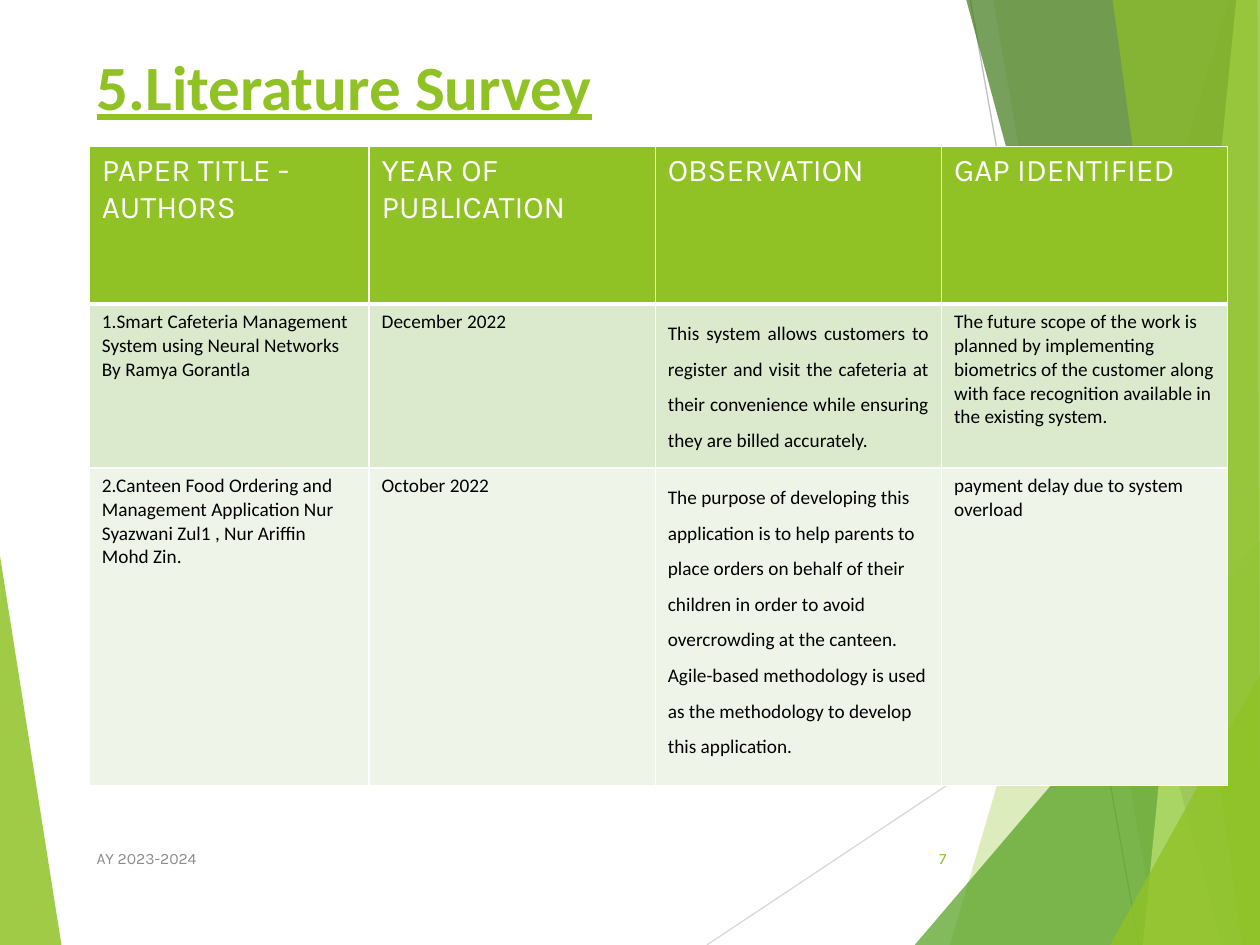
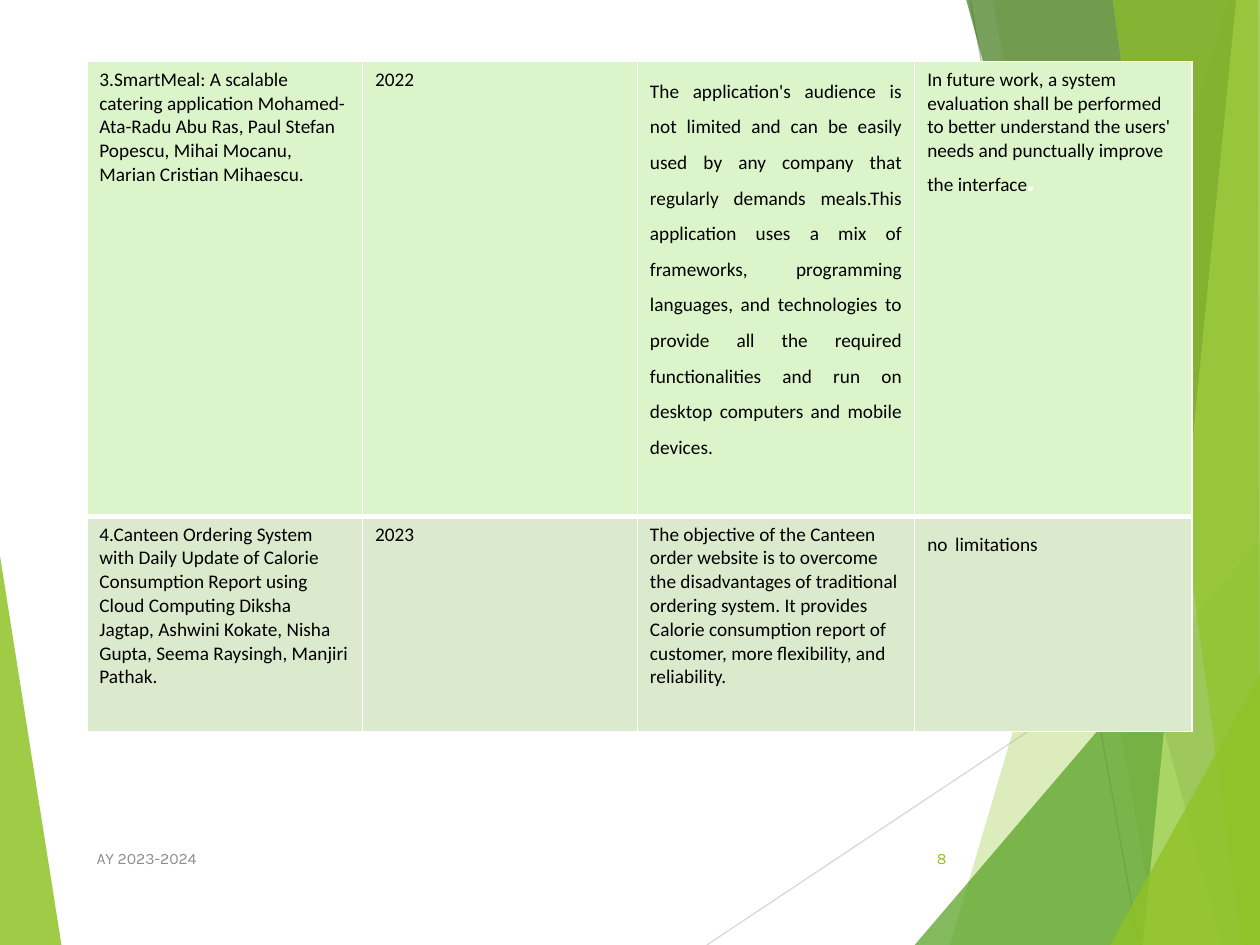
from dataclasses import dataclass

import pptx
import pptx.dml.color
import pptx.enum.shapes
import pptx.enum.text
import pptx.oxml.ns
import pptx.oxml.xmlchemy
import pptx.slide
import pptx.table
import pptx.text.text
import pptx.util
from pptx.util import Cm

ALIGN = pptx.enum.text.PP_ALIGN
ANCHOR = pptx.enum.text.MSO_ANCHOR
WIDTH, HEIGHT = 25.4, 19.05  # slide size in cm


@dataclass(frozen=True)
class TextStyle:
    font: str
    size: int
    color: str
    bold: bool = False
    underline: bool = False


@dataclass(frozen=True)
class Theme:
    lime: str = "90C226"
    green: str = "54A021"
    forest: str = "3F7819"
    pale_lime: str = "C0E474"
    white: str = "FFFFFF"
    sage: str = "DBE9CD"
    mist: str = "EEF4E8"
    mint: str = "DBF4CA"
    title: TextStyle = TextStyle("Calibri", 36, "90C226", bold=True, underline=True)
    header: TextStyle = TextStyle("Karla", 18, "FFFFFF")
    body: TextStyle = TextStyle("Calibri", 11, "000000")
    wide_space: TextStyle = TextStyle("Karla", 18, "000000")
    white_stop: TextStyle = TextStyle("Karla", 18, "FFFFFF", bold=True)
    footer: TextStyle = TextStyle("Karla", 9, "8C8C8C")
    page: TextStyle = TextStyle("Karla", 9, "90C226")
    rule: float = 1
    heavy_rule: float = 3


THEME = Theme()


@dataclass(frozen=True)
class Shard:
    """A translucent polygon; points in cm."""
    points: tuple[tuple[float, float], ...]
    color: str
    opacity: int


@dataclass(frozen=True)
class Ray:
    start: tuple[float, float]
    end: tuple[float, float]
    color: str


@dataclass(frozen=True)
class Run:
    text: str
    style: TextStyle | None = None


@dataclass(frozen=True)
class Entry:
    """Text of one table cell; airy text has open line spacing."""
    runs: tuple[Run, ...]
    airy: bool = False
    justified: bool = False


@dataclass(frozen=True)
class Row:
    height: float
    fill: str
    entries: tuple[Entry, ...]
    style: TextStyle = THEME.body


@dataclass(frozen=True)
class Survey:
    left: float
    top: float
    columns: tuple[float, ...]
    rows: tuple[Row, ...]
    has_header: bool = False


def entry(text: str, airy: bool = False, justified: bool = False) -> Entry:
    return Entry((Run(text),), airy, justified)


RIGHT_TOP, RIGHT_BOTTOM = (WIDTH, 0), (WIDTH, HEIGHT)
RAYS = (
    Ray((14.25, HEIGHT), (WIDTH, 11.63), "D9D9D9"),
    Ray((19.56, 0), (22.96, HEIGHT), "BFBFBF"),
)
LEFT_SHARD = Shard(((0, 11.2), (1.24, HEIGHT), (0, HEIGHT)), THEME.lime, 85)
RIGHT_SHARDS = (
    Shard(((24.77, 0), (19.15, HEIGHT), RIGHT_BOTTOM, RIGHT_TOP), THEME.lime, 30),
    Shard(((20.02, 0), (23.34, HEIGHT), RIGHT_BOTTOM, RIGHT_TOP), THEME.lime, 20),
    Shard(((18.44, HEIGHT), (WIDTH, 10.9), RIGHT_BOTTOM), THEME.green, 72),
    Shard(((19.48, 0), (24.64, HEIGHT), RIGHT_BOTTOM, RIGHT_TOP), THEME.forest, 70),
    Shard(((24.92, 0), (23.04, HEIGHT), RIGHT_BOTTOM, RIGHT_TOP), THEME.pale_lime, 70),
    Shard(((22.43, 0), (25.04, HEIGHT), RIGHT_BOTTOM, (25.35, 0)), THEME.lime, 65),
    Shard(((22.38, HEIGHT), (WIDTH, 13.59), RIGHT_BOTTOM), THEME.lime, 80),
)

FIRST_PAPERS = Survey(1.8, 2.95, (5.64, 5.77, 5.77, 5.77), (
    Row(3.18, THEME.lime, (
        entry("PAPER TITLE - AUTHORS"),
        entry("YEAR OF PUBLICATION"),
        entry("OBSERVATION"),
        entry("GAP IDENTIFIED"),
    ), THEME.header),
    Row(3.3, THEME.sage, (
        entry("1.Smart Cafeteria Management System using Neural Networks By Ramya Gorantla"),
        entry("December 2022"),
        entry("This system allows customers to register and visit the cafeteria at their "
              "convenience while ensuring they are billed accurately.",
              airy=True, justified=True),
        entry("The future scope of the work is planned by implementing biometrics of the "
              "customer along with face recognition available in the existing system."),
    )),
    Row(6.4, THEME.mist, (
        entry("2.Canteen Food Ordering and Management Application Nur Syazwani Zul1 , "
              "Nur Ariffin Mohd Zin."),
        entry("October 2022"),
        entry("The purpose of developing this application is to help parents to place orders "
              "on behalf of their children in order to avoid overcrowding at the canteen. "
              "Agile-based methodology is used as the methodology to develop this "
              "application.", airy=True),
        entry("payment delay due to system overload"),
    )),
), has_header=True)

LATER_PAPERS = Survey(1.75, 1.24, (5.56, 5.54, 5.59, 5.59), (
    Row(9.17, THEME.mint, (
        entry("3.SmartMeal: A scalable catering application Mohamed-Ata-Radu Abu Ras, "
              "Paul Stefan Popescu, Mihai Mocanu, Marian Cristian Mihaescu."),
        entry("2022"),
        entry("The application's audience is not limited and can be easily used by any "
              "company that regularly demands meals.This application uses a mix of "
              "frameworks, programming languages, and technologies to provide all the "
              "required functionalities and run on desktop computers and mobile devices.",
              airy=True, justified=True),
        Entry((Run("In future work, a system evaluation shall be performed to better "
                   "understand the users' needs and punctually improve the interface"),
               Run(".", THEME.white_stop))),
    )),
    Row(4.34, THEME.sage, (
        entry("4.Canteen Ordering System with Daily Update of Calorie Consumption Report "
              "using Cloud Computing Diksha Jagtap, Ashwini Kokate, Nisha Gupta, Seema "
              "Raysingh, Manjiri Pathak."),
        entry("2023"),
        entry("The objective of the Canteen order website is to overcome the disadvantages "
              "of traditional ordering system. It provides Calorie consumption report of "
              "customer, more flexibility, and reliability."),
        Entry((Run("no"), Run(" ", THEME.wide_space), Run("limitations"))),
    )),
))


def rgb(color: str) -> pptx.dml.color.RGBColor:
    return pptx.dml.color.RGBColor.from_string(color)


def apply_style(font: pptx.text.text.Font, style: TextStyle) -> None:
    font.name = style.font
    font.size = pptx.util.Pt(style.size)
    font.bold = style.bold
    font.underline = style.underline
    font.color.rgb = rgb(style.color)


def draw_shard(slide: pptx.slide.Slide, shard: Shard) -> None:
    start, *others = [(Cm(x), Cm(y)) for x, y in shard.points]
    builder = slide.shapes.build_freeform(*start)
    builder.add_line_segments(others)
    polygon = builder.convert_to_shape()
    polygon.shadow.inherit = False
    polygon.line.fill.background()
    polygon.fill.solid()
    polygon.fill.fore_color.rgb = rgb(shard.color)
    tint = polygon.element.spPr.find(".//" + pptx.oxml.ns.qn("a:srgbClr"))
    alpha = pptx.oxml.xmlchemy.OxmlElement("a:alpha")
    alpha.set("val", str(shard.opacity * 1000))
    tint.append(alpha)


def draw_ray(slide: pptx.slide.Slide, ray: Ray) -> None:
    line = slide.shapes.add_connector(
        pptx.enum.shapes.MSO_CONNECTOR.STRAIGHT, *(Cm(v) for v in ray.start + ray.end))
    line.line.color.rgb = rgb(ray.color)
    line.line.width = pptx.util.Pt(0.75)
    line._element.spPr.append(pptx.oxml.xmlchemy.OxmlElement("a:effectLst"))


def draw_label(slide: pptx.slide.Slide, text: str, left: float, width: float,
               style: TextStyle, align: ALIGN) -> None:
    frame = slide.shapes.add_textbox(Cm(left), Cm(16.79), Cm(width), Cm(1.02)).text_frame
    frame.word_wrap = True
    frame.vertical_anchor = ANCHOR.MIDDLE
    frame.text = text
    frame.paragraphs[0].alignment = align
    apply_style(frame.paragraphs[0].font, style)


def draw_surroundings(slide: pptx.slide.Slide, page: int) -> None:
    """Draw the backdrop and footer that every slide carries."""
    draw_shard(slide, LEFT_SHARD)
    for ray in RAYS:
        draw_ray(slide, ray)
    for shard in RIGHT_SHARDS:
        draw_shard(slide, shard)
    draw_label(slide, "AY 2023-2024", 1.7, 12.85, THEME.footer, ALIGN.LEFT)
    draw_label(slide, str(page), 17.91, 1.42, THEME.page, ALIGN.RIGHT)


def set_borders(cell: pptx.table._Cell, bottom: float) -> None:
    properties = cell._tc.get_or_add_tcPr()
    widths = {"a:lnL": THEME.rule, "a:lnR": THEME.rule, "a:lnT": THEME.rule, "a:lnB": bottom}
    for tag, width in widths.items():
        edge = pptx.oxml.xmlchemy.OxmlElement(tag)
        edge.set("w", str(int(pptx.util.Pt(width))))
        fill = pptx.oxml.xmlchemy.OxmlElement("a:solidFill")
        color = pptx.oxml.xmlchemy.OxmlElement("a:srgbClr")
        color.set("val", THEME.white)
        fill.append(color)
        edge.append(fill)
        properties.append(edge)


def fill_cell(cell: pptx.table._Cell, content: Entry, row: Row, bottom: float) -> None:
    set_borders(cell, bottom)
    cell.fill.solid()
    cell.fill.fore_color.rgb = rgb(row.fill)
    paragraph = cell.text_frame.paragraphs[0]
    paragraph.alignment = ALIGN.JUSTIFY if content.justified else ALIGN.LEFT
    if content.airy:
        paragraph.line_spacing = 1.5
        paragraph.space_after = pptx.util.Pt(8)
    apply_style(paragraph.font, row.style)
    for part in content.runs:
        run = paragraph.add_run()
        run.text = part.text
        if part.style:
            apply_style(run.font, part.style)


def draw_survey(slide: pptx.slide.Slide, survey: Survey) -> None:
    table = slide.shapes.add_table(
        len(survey.rows), len(survey.columns), Cm(survey.left), Cm(survey.top),
        Cm(sum(survey.columns)), Cm(sum(row.height for row in survey.rows))).table
    table.first_row = survey.has_header
    table.horz_banding = False
    for column, width in zip(table.columns, survey.columns):
        column.width = Cm(width)
    for r, row in enumerate(survey.rows):
        table.rows[r].height = Cm(row.height)
        bottom = THEME.rule if r else THEME.heavy_rule
        for c, content in enumerate(row.entries):
            fill_cell(table.cell(r, c), content, row, bottom)


def set_title(slide: pptx.slide.Slide, text: str) -> None:
    title = slide.shapes.title
    title.left, title.top, title.width, title.height = Cm(1.7), Cm(0.71), Cm(12.42), Cm(2.03)
    frame = title.text_frame
    frame.text = text
    frame.auto_size = pptx.enum.text.MSO_AUTO_SIZE.NONE
    frame.vertical_anchor = ANCHOR.MIDDLE
    frame.paragraphs[0].alignment = ALIGN.LEFT
    apply_style(frame.paragraphs[0].font, THEME.title)


def main() -> None:
    deck = pptx.Presentation()
    deck.slide_width, deck.slide_height = Cm(WIDTH), Cm(HEIGHT)
    title_only, blank = deck.slide_layouts[5], deck.slide_layouts[6]

    opening = deck.slides.add_slide(title_only)
    draw_surroundings(opening, 7)
    set_title(opening, "5.Literature Survey")
    draw_survey(opening, FIRST_PAPERS)

    continuation = deck.slides.add_slide(blank)
    draw_surroundings(continuation, 8)
    draw_survey(continuation, LATER_PAPERS)
    deck.save("out.pptx")


if __name__ == "__main__":
    main()
